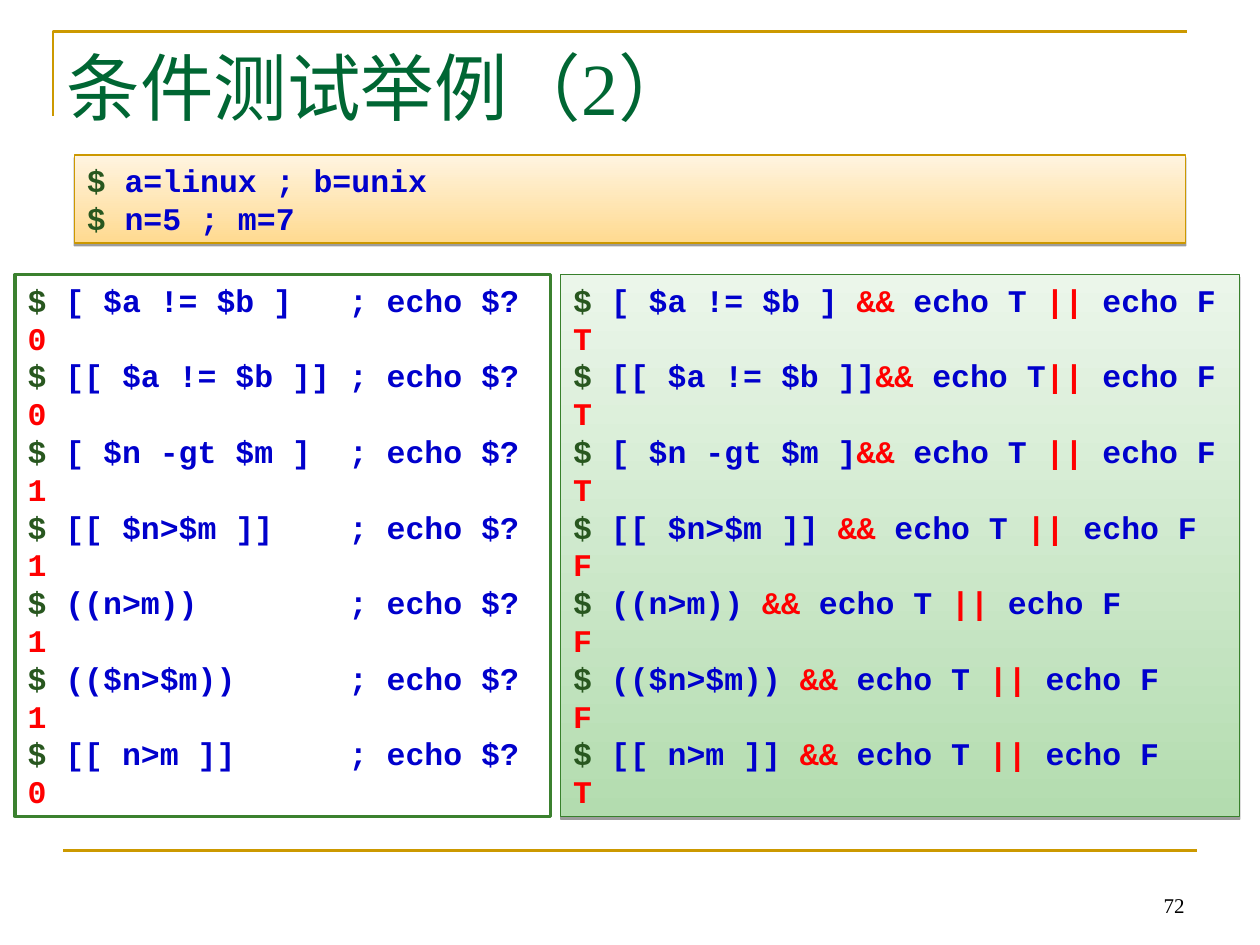
"""Build the slide of shell condition test examples."""
import dataclasses
import typing

import lxml.etree
import pptx
import pptx.dml.color
import pptx.enum.shapes
import pptx.enum.text
import pptx.oxml
import pptx.oxml.ns
import pptx.util

Inches = pptx.util.Inches
Pt = pptx.util.Pt
ANCHOR = pptx.enum.text.MSO_ANCHOR
ALIGN = pptx.enum.text.PP_ALIGN

COLORS = {
    "rule": "CC9900", "title": "006633", "number": "000000",
    "prompt": "28571F", "command": "0000CC", "result": "FF0000",
    "white": "FFFFFF", "frame": "3B812F",
    "amber": "FFDA90", "cream": "FFF4E0", "amber_line": "CC9800",
    "green": "B3DCAF", "mint": "EBF6EA", "green_line": "38802C",
}
CODE_FONT = {"name": "Courier New", "size": Pt(18), "bold": True}
TITLE_FONT = {"name": "Times New Roman", "size": Pt(42)}
NUMBER_FONT = {"name": "Times New Roman", "size": Pt(12)}
SHADOW = (
    f'<a:outerShdw {pptx.oxml.ns.nsdecls("a")} blurRad="0" dist="20320" dir="5400000" '
    'rotWithShape="0"><a:srgbClr val="000000"><a:alpha val="38000"/></a:srgbClr></a:outerShdw>'
)


@dataclasses.dataclass(frozen=True)
class Panel:
    """A box of shell lines, with one fill colour or a bottom and top pair."""
    box: tuple[float, float, float, float]
    fill: tuple[str, ...]
    line: str
    width: float
    code: str


PANELS = [
    Panel((0.12, 2.18, 4.25, 4.3), ("white",), "frame", 2, """\
$ [ $a != $b ]   ; echo $?
0
$ [[ $a != $b ]] ; echo $?
0
$ [ $n -gt $m ]  ; echo $?
1
$ [[ $n>$m ]]    ; echo $?
1
$ ((n>m))        ; echo $?
1
$ (($n>$m))      ; echo $?
1
$ [[ n>m ]]      ; echo $?
0"""),
    Panel((0.59, 1.23, 8.82, 0.7), ("amber", "cream"), "amber_line", 0.75, """\
$ a=linux ; b=unix
$ n=5 ; m=7"""),
    Panel((4.45, 2.18, 5.39, 4.3), ("green", "mint"), "green_line", 0.75, """\
$ [ $a != $b ] && echo T || echo F
T
$ [[ $a != $b ]]&& echo T|| echo F
T
$ [ $n -gt $m ]&& echo T || echo F
T
$ [[ $n>$m ]] && echo T || echo F
F
$ ((n>m)) && echo T || echo F
F
$ (($n>$m)) && echo T || echo F
F
$ [[ n>m ]] && echo T || echo F
T"""),
]


def rgb(name: str) -> pptx.dml.color.RGBColor:
    """Return a named colour."""
    return pptx.dml.color.RGBColor.from_string(COLORS[name])


def set_attrs(obj: typing.Any, values: dict[str, typing.Any]) -> None:
    """Set each attribute from a dict of format values."""
    for name, value in values.items():
        setattr(obj, name, value)


def place(sp: typing.Any, *box: float) -> None:
    """Move and size a shape in inches."""
    set_attrs(sp, dict(zip(("left", "top", "width", "height"), map(Inches, box))))


def add_run(p: typing.Any, text: str, font: dict[str, typing.Any], color: str) -> None:
    """Add a formatted run."""
    r = p.add_run()
    r.text = text
    set_attrs(r.font, font)
    r.font.color.rgb = rgb(color)


def spans(line: str) -> list[tuple[str, str]]:
    """Split a shell line into coloured parts."""
    if not line.startswith("$"):
        return [(line, "result")]
    test, and_op, rest = line[1:].partition("&&")
    then, or_op, other = rest.partition("||")
    parts = [("$", "prompt"), (test, "command"), (and_op, "result"),
             (then, "command"), (or_op, "result"), (other, "command")]
    return [part for part in parts if part[0]]


def add_panel(s: typing.Any, panel: Panel) -> None:
    """Draw a panel with its code."""
    sp = s.shapes.add_shape(pptx.enum.shapes.MSO_SHAPE.RECTANGLE, *map(Inches, panel.box))
    sp.shadow.inherit = False
    sp.line.color.rgb = rgb(panel.line)
    sp.line.width = Pt(panel.width)
    if len(panel.fill) == 1:
        sp.fill.solid()
        sp.fill.fore_color.rgb = rgb(panel.fill[0])
    else:
        sp.fill.gradient()
        sp.fill.gradient_angle = 90
        for stop, color in zip(sp.fill.gradient_stops, panel.fill):
            stop.color.rgb = rgb(color)
        effects = sp._element.spPr.find(pptx.oxml.ns.qn("a:effectLst"))
        effects.append(pptx.oxml.parse_xml(SHADOW))
    tf = sp.text_frame
    set_attrs(tf, {"word_wrap": True, "vertical_anchor": ANCHOR.TOP})
    for i, line in enumerate(panel.code.splitlines()):
        p = tf.add_paragraph() if i else tf.paragraphs[0]
        set_attrs(p, {"alignment": ALIGN.LEFT, "line_spacing": Pt(21.6)})
        for text, color in spans(line):
            add_run(p, text, CODE_FONT, color)


def add_rules(s: typing.Any) -> None:
    """Draw the corner rule and the footer rule."""
    builder = s.shapes.build_freeform(Inches(0.42), Inches(0.92))
    builder.add_line_segments(
        [(Inches(0.42), Inches(0.25)), (Inches(9.42), Inches(0.25))], close=False)
    corner = builder.convert_to_shape()
    corner.fill.background()
    corner.shadow.inherit = False
    footer = s.shapes.add_connector(
        pptx.enum.shapes.MSO_CONNECTOR.STRAIGHT, *map(Inches, (0.5, 6.75, 9.5, 6.75)))
    lxml.etree.SubElement(footer._element.spPr, pptx.oxml.ns.qn("a:effectLst"))
    for sp in (corner, footer):
        sp.line.color.rgb = rgb("rule")
        sp.line.width = Pt(1.5)


def add_heading(s: typing.Any, text: str) -> None:
    """Fill the title placeholder."""
    sp = s.shapes.title
    place(sp, 0.43, 0.28, 9, 1.25)
    tf = sp.text_frame
    set_attrs(tf, {"vertical_anchor": ANCHOR.TOP, "word_wrap": True,
                   "auto_size": pptx.enum.text.MSO_AUTO_SIZE.NONE})
    p = tf.paragraphs[0]
    p.alignment = ALIGN.LEFT
    add_run(p, text, TITLE_FONT, "title")


def add_number(s: typing.Any, text: str) -> None:
    """Add the page number."""
    tf = s.shapes.add_textbox(*map(Inches, (7.17, 6.83, 2.33, 0.5))).text_frame
    set_attrs(tf, {"word_wrap": True, "vertical_anchor": ANCHOR.BOTTOM})
    p = tf.paragraphs[0]
    p.alignment = ALIGN.RIGHT
    add_run(p, text, NUMBER_FONT, "number")


def main() -> None:
    """Build and save the slide."""
    prs = pptx.Presentation()
    set_attrs(prs, {"slide_width": Inches(10), "slide_height": Inches(7.5)})
    s = prs.slides.add_slide(prs.slide_layouts[5])
    add_rules(s)
    add_heading(s, "条件测试举例（2）")
    add_number(s, "72")
    for panel in PANELS:
        add_panel(s, panel)
    prs.save("out.pptx")


if __name__ == "__main__":
    main()
